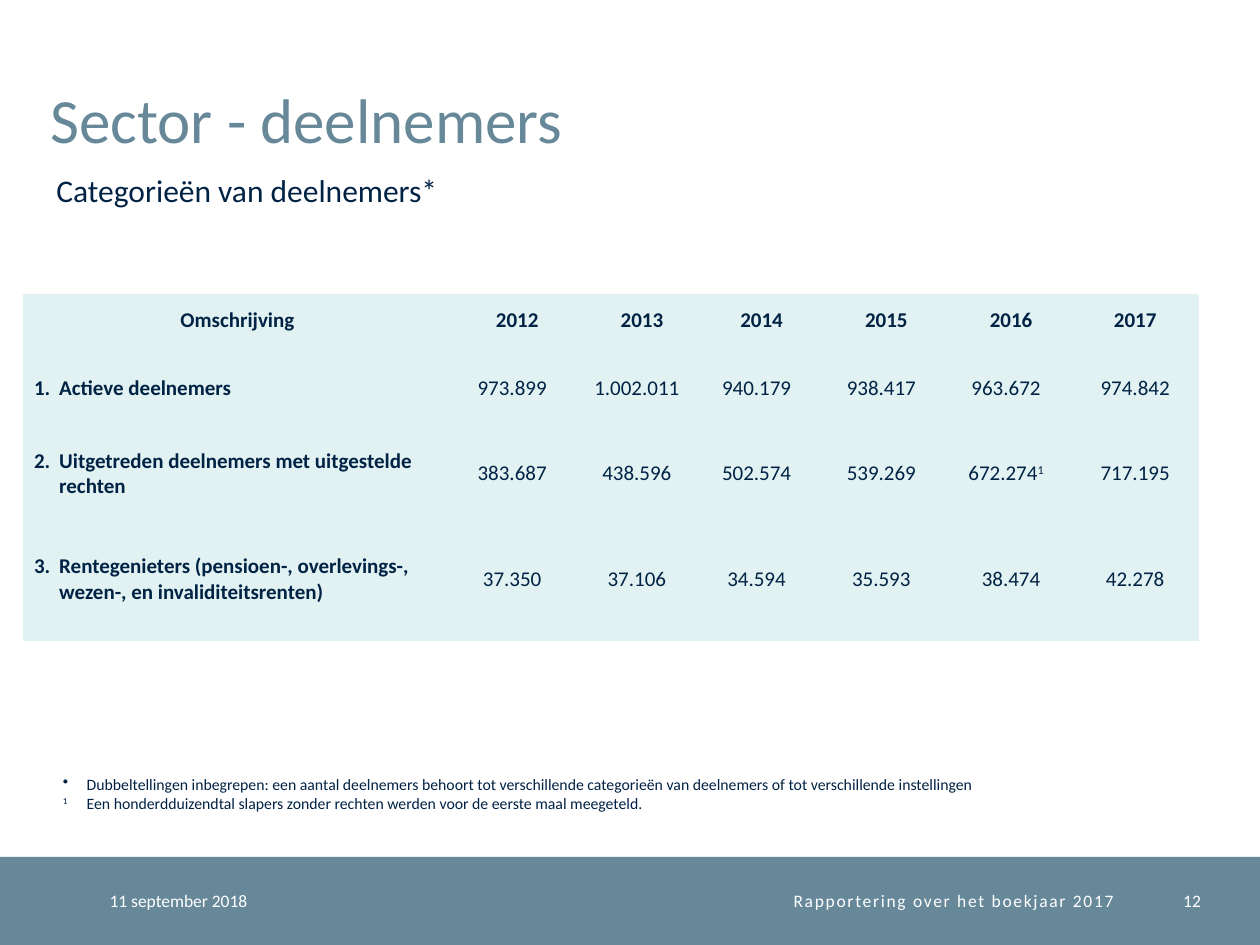
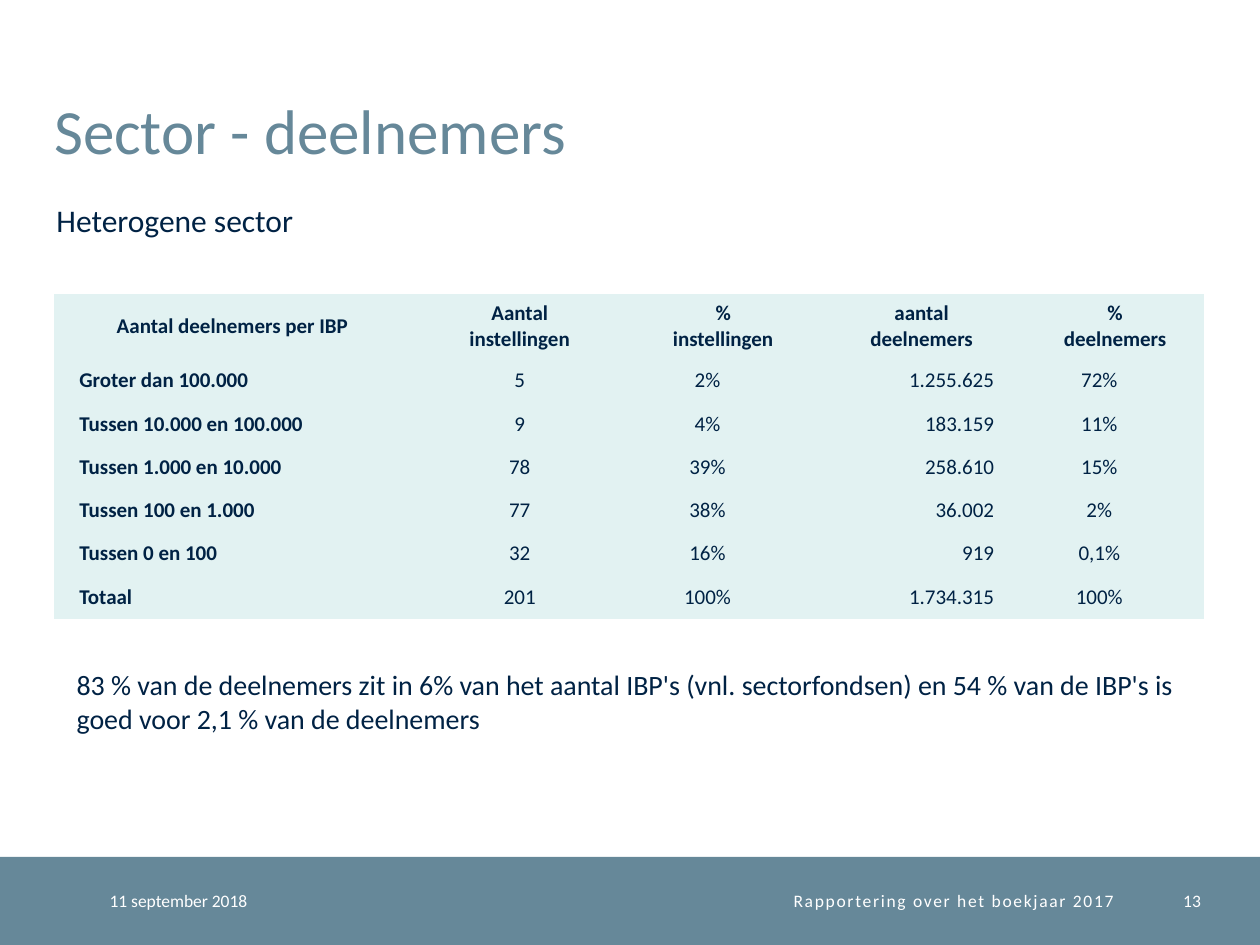
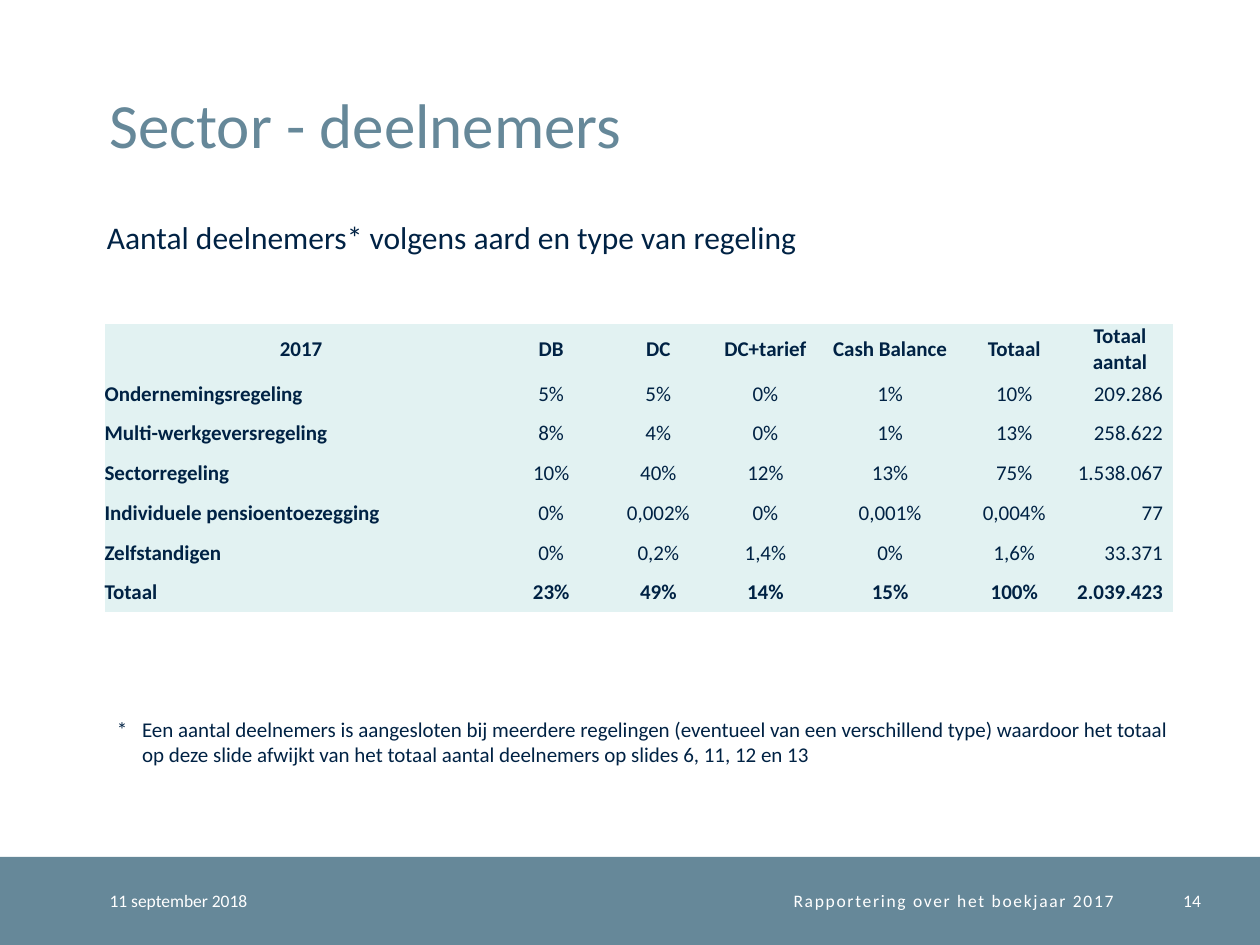
from pptx import Presentation
from pptx.dml.color import RGBColor
from pptx.enum.shapes import MSO_SHAPE
from pptx.enum.text import MSO_ANCHOR, MSO_AUTO_SIZE, PP_ALIGN
from pptx.oxml.ns import qn
from pptx.util import Inches, Pt
from lxml import etree

LEFT, CENTER, RIGHT = PP_ALIGN.LEFT, PP_ALIGN.CENTER, PP_ALIGN.RIGHT
TOP, MIDDLE, BOTTOM = MSO_ANCHOR.TOP, MSO_ANCHOR.MIDDLE, MSO_ANCHOR.BOTTOM
FIT_TEXT = MSO_AUTO_SIZE.SHAPE_TO_FIT_TEXT
RECTANGLE = MSO_SHAPE.RECTANGLE
NO_STYLE = "{2D5ABB26-0587-4C30-8999-92F81FD0307C}"
color = RGBColor.from_string
SLATE, NAVY, PALE, WHITE = "668899", "002244", "E2F2F2", "FFFFFF"


def write(frame, text, size, ink=NAVY, bold=False, align=LEFT, margin=0, hanging=0, tracking=0, leading=None):
    for index, line in enumerate(text.split("\n")):
        paragraph = frame.paragraphs[0] if index == 0 else frame.add_paragraph()
        properties = paragraph._p.get_or_add_pPr()
        properties.set("marL", str(Inches(margin)))
        properties.set("indent", str(-Inches(hanging)))
        if line.startswith("•"):
            etree.SubElement(properties, qn("a:buChar")).set("char", "•")
            line = line[1:]
        paragraph.alignment = align
        if leading:
            paragraph.line_spacing = Pt(leading)
        for position, part in enumerate(line.split("^")):
            if not part:
                continue
            run = paragraph.add_run()
            run.text = part
            looks = {"name": "Calibri", "size": Pt(size), "bold": bold}
            for key, value in looks.items():
                setattr(run.font, key, value)
            run.font.color.rgb = color(ink)
            if position % 2:
                run.font._element.set("baseline", "30000")
            if tracking:
                run.font._element.set("spc", str(tracking * 100))


def add_text(slide, place, text, size, anchor=TOP, inset=None, **looks):
    box = slide.shapes.add_textbox(*map(Inches, place))
    frame = box.text_frame
    frame.word_wrap = True
    frame.vertical_anchor = anchor
    if inset is None:
        frame.auto_size = FIT_TEXT
    else:
        for side in ("left", "top", "right", "bottom"):
            setattr(frame, f"margin_{side}", Inches(inset))
    write(frame, text, size, **looks)


categories = [
    ["Omschrijving", "2012", "2013", "2014", "2015", "2016", "2017"],
    ["1.\tActieve deelnemers", "973.899", "1.002.011", "940.179", "938.417", "963.672", "974.842"],
    ["2.\tUitgetreden deelnemers met uitgestelde rechten",
     "383.687", "438.596", "502.574", "539.269", "672.274^1", "717.195"],
    ["3.\tRentegenieters (pensioen-, overlevings-, wezen-, en invaliditeitsrenten)",
     "37.350", "37.106", "34.594", "35.593", "38.474", "42.278"],
]
size_classes = [
    ["Aantal deelnemers per IBP", "Aantal\ninstellingen", "%\ninstellingen", "aantal\ndeelnemers", "%\ndeelnemers"],
    ["Groter dan 100.000", "5", "2%", "1.255.625", "72%"],
    ["Tussen 10.000 en 100.000", "9", "4%", "183.159", "11%"],
    ["Tussen 1.000 en 10.000", "78", "39%", "258.610", "15%"],
    ["Tussen 100 en 1.000", "77", "38%", "36.002", "2%"],
    ["Tussen 0 en 100", "32", "16%", "919", "0,1%"],
    ["Totaal", "201", "100%", "1.734.315", "100%"],
]
plan_types = [
    ["2017", "DB", "DC", "DC+tarief", "Cash Balance", "Totaal", "Totaal aantal"],
    ["Ondernemingsregeling", "5%", "5%", "0%", "1%", "10%", "209.286"],
    ["Multi-werkgeversregeling", "8%", "4%", "0%", "1%", "13%", "258.622"],
    ["Sectorregeling", "10%", "40%", "12%", "13%", "75%", "1.538.067"],
    ["Individuele pensioentoezegging", "0%", "0,002%", "0%", "0,001%", "0,004%", "77"],
    ["Zelfstandigen", "0%", "0,2%", "1,4%", "0%", "1,6%", "33.371"],
    ["Totaal", "23%", "49%", "14%", "15%", "100%", "2.039.423"],
]

pages = [
    {
        "number": "12", "title": (0.4, 0.16),
        "subtitle": "Categorieën van deelnemers*", "subtitle_place": (0.35, 1.31, 3.7, 0.4),
        "rows": categories, "table_at": (0.18, 2.33),
        "widths": [3.41, 1.03, 0.95, 0.95, 1.03, 0.95, 1.02], "heights": [0.42, 0.66, 0.7, 0.98],
        "label": {"margin": 0.29, "hanging": 0.2},
        "insets": [0, 0.08, 0.08, 0.08, 0.08, 0.08, 0], "right_column": None, "bold_total": False,
        "note": "•Dubbeltellingen inbegrepen: een aantal deelnemers behoort tot verschillende categorieën "
                "van deelnemers of tot verschillende instellingen\n"
                "^1^\tEen honderdduizendtal slapers zonder rechten werden voor de eerste maal meegeteld.",
        "note_place": (0.4, 6.1, 9.37, 0.4), "note_size": 9, "note_looks": {"margin": 0.19, "hanging": 0.19},
    },
    {
        "number": "13", "title": (0.43, 0.25),
        "subtitle": "Heterogene sector", "subtitle_place": (0.35, 1.55, 3.23, 0.4),
        "rows": size_classes, "table_at": (0.43, 2.33),
        "widths": [2.83, 1.73, 1.5, 1.65, 1.42], "heights": [0.52] + [2.06 / 6] * 6,
        "label": {"margin": 0.2},
        "insets": [0, 0, 0.25, 0.25, 0.25], "right_column": 3, "bold_total": False,
        "note": "83 % van de deelnemers zit in 6% van het aantal IBP's (vnl. sectorfondsen) "
                "en 54 % van de IBP's is goed voor 2,1 % van de deelnemers",
        "note_place": (0.51, 5.25, 9.06, 0.64), "note_size": 16, "note_looks": {},
    },
    {
        "number": "14", "title": (0.87, 0.2),
        "subtitle": "Aantal deelnemers* volgens aard en type van regeling", "subtitle_place": (0.75, 1.68, 8.43, 0.4),
        "rows": plan_types, "table_at": (0.83, 2.57),
        "widths": [3.12, 0.85, 0.85, 0.85, 1.13, 0.84, 0.84], "heights": [0.4] + [1.89 / 6] * 6,
        "label": {},
        "insets": [0, 0, 0, 0, 0, 0, 0.08], "right_column": 6, "bold_total": True,
        "note": "*\tEen aantal deelnemers is aangesloten bij meerdere regelingen (eventueel van een verschillend type) "
                "waardoor het totaal op deze slide afwijkt van het totaal aantal deelnemers op slides 6, 11, 12 en 13",
        "note_place": (0.83, 5.64, 8.74, 0.5), "note_size": 12, "note_looks": {"margin": 0.2, "hanging": 0.2},
    },
]

prs = Presentation()
prs.slide_width, prs.slide_height = Inches(10), Inches(7.5)

for page in pages:
    slide = prs.slides.add_slide(prs.slide_layouts[6])
    band = slide.shapes.add_shape(RECTANGLE, 0, Inches(6.8), Inches(10), Inches(0.7))
    band.shadow.inherit = False
    band.fill.solid()
    band.fill.fore_color.rgb = color(SLATE)
    band.line.fill.background()

    footers = [
        (0.87, 1.77, "11 september 2018", LEFT, 0),
        (2.64, 6.2, "Rapportering over het boekjaar 2017", RIGHT, 1),
        (9.04, 0.49, page["number"], RIGHT, 0),
    ]
    for left, width, text, align, tracking in footers:
        add_text(slide, (left, 6.8, width, 0.7), text, 10, MIDDLE, 0, ink=WHITE, align=align, tracking=tracking)

    add_text(slide, (*page["title"], 8.63, 1.08), "Sector - deelnemers", 36, BOTTOM, 0, ink=SLATE, leading=32)
    add_text(slide, page["subtitle_place"], page["subtitle"], 18)

    rows, widths, heights = page["rows"], page["widths"], page["heights"]
    extent = (*page["table_at"], sum(widths), sum(heights))
    table = slide.shapes.add_table(len(rows), len(widths), *map(Inches, extent)).table
    table.first_row = table.horz_banding = False
    table._tbl.tblPr.find(qn("a:tableStyleId")).text = NO_STYLE
    for column, width in zip(table.columns, widths):
        column.width = Inches(width)
    for r, (values, height) in enumerate(zip(rows, heights)):
        table.rows[r].height = Inches(height)
        total = page["bold_total"] and r == len(rows) - 1
        for c, value in enumerate(values):
            cell = table.cell(r, c)
            cell.fill.solid()
            cell.fill.fore_color.rgb = color(PALE)
            cell.vertical_anchor = MIDDLE
            cell.margin_left = cell.margin_top = cell.margin_bottom = 0
            no_inset = r == 0 or value == "38.474"
            cell.margin_right = 0 if no_inset else Inches(page["insets"][c])
            looks = {"bold": r == 0 or c == 0 or total, "align": CENTER}
            if r and c == 0:
                looks.update(page["label"], align=LEFT)
            elif r and c == page["right_column"]:
                looks["align"] = RIGHT
            write(cell.text_frame, value, 12, **looks)

    add_text(slide, page["note_place"], page["note"], page["note_size"], **page["note_looks"])

prs.save("out.pptx")
